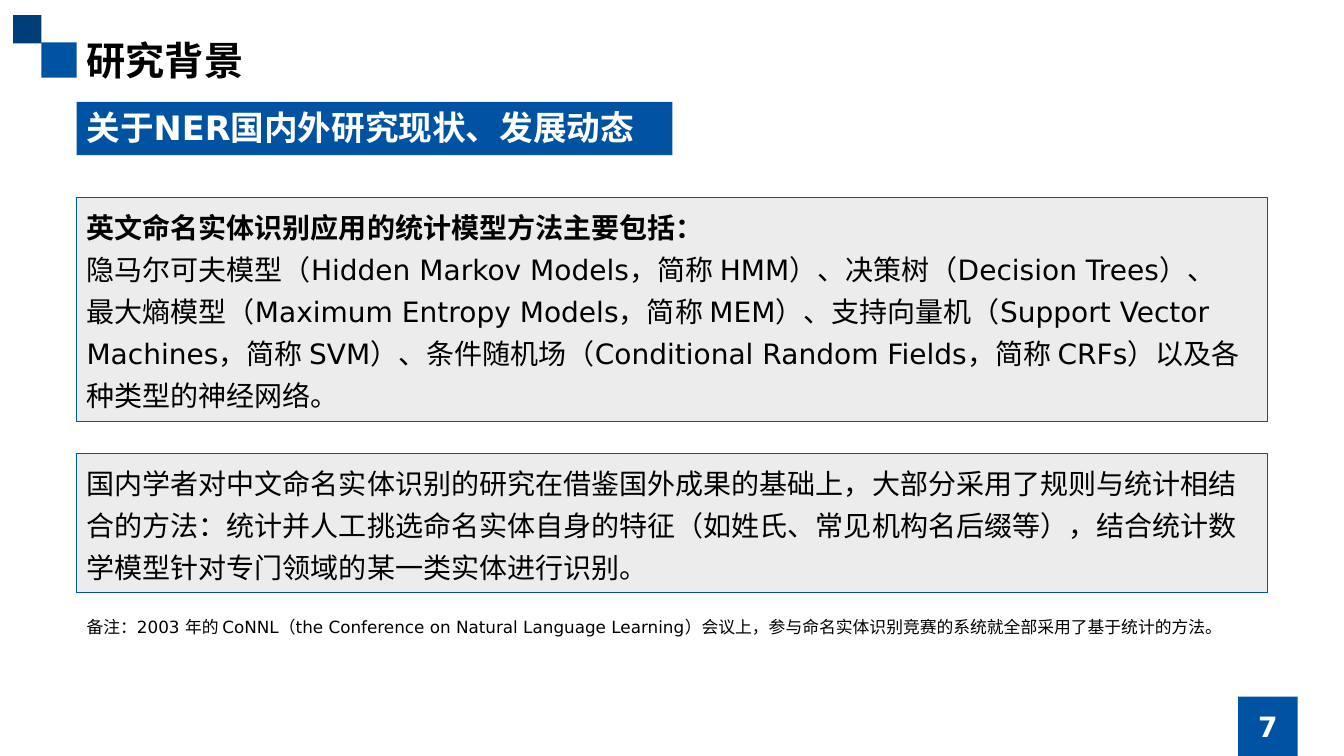
from dataclasses import dataclass

from pptx import Presentation
from pptx.dml.color import RGBColor
from pptx.enum.shapes import MSO_SHAPE
from pptx.enum.text import MSO_ANCHOR, MSO_AUTO_SIZE, PP_ALIGN
from pptx.oxml.ns import qn
from pptx.util import Inches, Pt

RECT = MSO_SHAPE.RECTANGLE
LEFT, CENTER = PP_ALIGN.LEFT, PP_ALIGN.CENTER
TOP, MIDDLE = MSO_ANCHOR.TOP, MSO_ANCHOR.MIDDLE
FIXED = MSO_AUTO_SIZE.NONE

LATIN, HAN = "DejaVu Sans", "Noto Sans CJK SC"
BLUE, NAVY, GREY = "0053A3", "003E7A", "ECECEC"
BLACK, WHITE = "000000", "FFFFFF"
EDGE, WIDE, HEAD = 0.76, 11.81, 5.91


@dataclass
class Style:
    size: int
    color: str = BLACK
    bold: bool = False
    font: str = LATIN
    align: int = LEFT
    anchor: int = TOP
    space: float = 1.0


@dataclass
class Block:
    left: float
    top: float
    width: float
    height: float
    fill: str
    line: str = ""
    text: str = ""
    style: Style | None = None
    lead: bool = False  # first paragraph in bold


BODY = Style(20, space=1.25)
BLOCKS = [
    Block(0.41, 0.42, 0.35, 0.35, BLUE),
    Block(0.13, 0.15, 0.28, 0.28, NAVY),
    Block(12.28, 6.91, 0.59, 0.59, BLUE, text="7",
          style=Style(20, WHITE, True, align=CENTER, anchor=MIDDLE)),
    Block(EDGE, 1.01, HEAD, 0.53, BLUE,
          text="关于NER国内外研究现状、发展动态",
          style=Style(24, WHITE, True)),
    Block(EDGE, 1.96, WIDE, 2.22, GREY, BLUE,
          "英文命名实体识别应用的统计模型方法主要包括：\n"
          "隐马尔可夫模型（Hidden Markov Models，简称 HMM）、"
          "决策树（Decision Trees）、\n"
          "最大熵模型（Maximum Entropy Models，简称 MEM）、"
          "支持向量机（Support Vector Machines，简称 SVM）、"
          "条件随机场（Conditional Random Fields，简称 CRFs）"
          "以及各种类型的神经网络。", BODY, lead=True),
    Block(EDGE, 4.5, WIDE, 1.38, GREY, BLUE,
          "国内学者对中文命名实体识别的研究在借鉴国外成果的基础上，"
          "大部分采用了规则与统计相结合的方法："
          "统计并人工挑选命名实体自身的特征（如姓氏、常见机构名后缀等），"
          "结合统计数学模型针对专门领域的某一类实体进行识别。", BODY),
]
NOTE = ("备注：2003 年的 CoNNL（the Conference on Natural Language Learning）"
        "会议上，参与命名实体识别竞赛的系统就全部采用了基于统计的方法。")


def rgb(code: str) -> RGBColor:
    return RGBColor.from_string(code)


def write(frame, text: str, style: Style, lead: bool = False) -> None:
    """Fill a text frame and format its runs."""
    frame.text = text
    frame.word_wrap = True
    frame.auto_size = FIXED
    frame.vertical_anchor = style.anchor
    for num, para in enumerate(frame.paragraphs):
        para.alignment = style.align
        para.line_spacing = style.space
        for run in para.runs:
            font = run.font
            font.size = Pt(style.size)
            font.bold = style.bold or (lead and num == 0)
            font.name = style.font
            font.color.rgb = rgb(style.color)
            asian = run._r.get_or_add_rPr().makeelement(qn("a:ea"), {"typeface": HAN})
            run._r.rPr.find(qn("a:latin")).addnext(asian)


def draw(slide, block: Block) -> None:
    shape = slide.shapes.add_shape(
        RECT, Inches(block.left), Inches(block.top),
        Inches(block.width), Inches(block.height))
    shape.shadow.inherit = False
    shape.fill.solid()
    shape.fill.fore_color.rgb = rgb(block.fill)
    if block.line:
        shape.line.color.rgb = rgb(block.line)
        shape.line.width = Pt(1)
    else:
        shape.line.fill.background()
    if block.style:
        write(shape.text_frame, block.text, block.style, block.lead)


def main() -> None:
    deck = Presentation()
    deck.slide_width, deck.slide_height = Inches(13.33), Inches(7.5)
    slide = deck.slides.add_slide(deck.slide_layouts[5])
    title = slide.shapes.title
    title.left, title.top = Inches(EDGE), Inches(0.31)
    title.width, title.height = Inches(HEAD), Inches(0.6)
    write(title.text_frame, "研究背景", Style(28, bold=True, font=HAN))
    for block in BLOCKS:
        draw(slide, block)
    note = slide.shapes.add_textbox(
        Inches(EDGE), Inches(6.07), Inches(WIDE), Inches(0.31))
    write(note.text_frame, NOTE, Style(12))
    deck.save("out.pptx")


if __name__ == "__main__":
    main()
